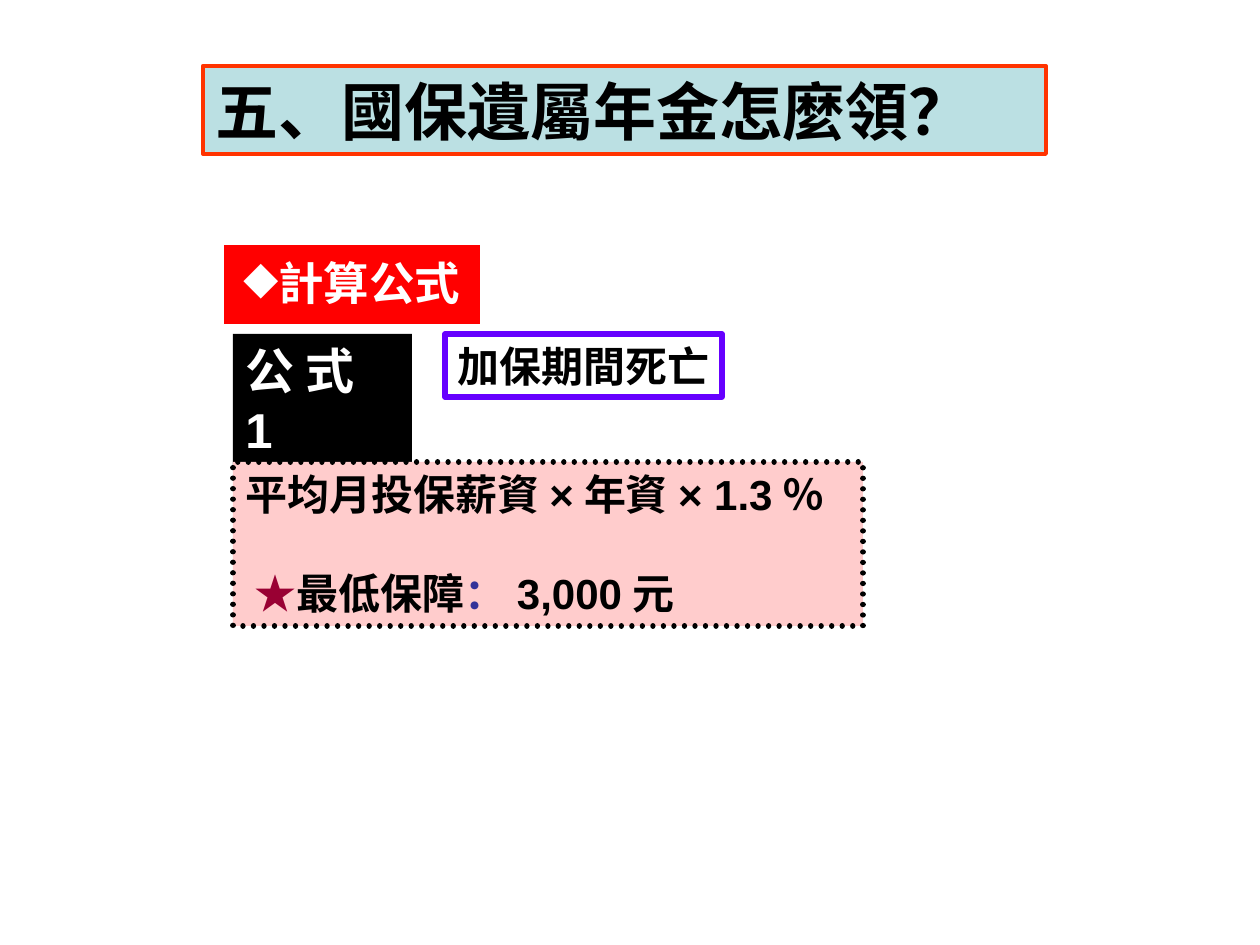
"""Build the slide on how the survivor pension is calculated."""
from lxml.etree import SubElement
from pptx import Presentation
from pptx.dml.color import RGBColor
from pptx.enum.dml import MSO_LINE
from pptx.enum.shapes import MSO_SHAPE
from pptx.enum.text import MSO_ANCHOR, MSO_AUTO_SIZE, PP_ALIGN
from pptx.oxml.ns import qn
from pptx.util import Pt

PX = 914400 / 126


def paint(fmt, color):
    fmt.solid()
    fmt.fore_color.rgb = RGBColor.from_string(color)


def add_box(box, fill, line, width, size, paragraphs):
    sp = s.shapes.add_shape(MSO_SHAPE.RECTANGLE, *(round(v * PX) for v in box))
    sp.shadow.inherit = False
    for fmt, color in ((sp.fill, fill), (sp.line.fill, line)):
        if color:
            paint(fmt, color)
        else:
            fmt.background()
    if line:
        sp.line.width = Pt(width)
    tf = sp.text_frame
    tf.word_wrap = True
    tf.vertical_anchor = MSO_ANCHOR.TOP
    tf.auto_size = MSO_AUTO_SIZE.SHAPE_TO_FIT_TEXT
    for i, runs in enumerate(paragraphs):
        p = tf.add_paragraph() if i else tf.paragraphs[0]
        p.alignment = PP_ALIGN.LEFT
        for text, color, bold in runs:
            r = p.add_run()
            r.text = text
            r.font.name = "Arial"
            r.font.size = Pt(size)
            r.font.bold = bold
            paint(r.font.fill, color)
    return sp


prs = Presentation()
prs.slide_width = round(1260 * PX)
prs.slide_height = round(945 * PX)
s = prs.slides.add_slide(prs.slide_layouts[6])

add_box((203, 66, 843, 88), "BBE0E3", "FF3300", 2.25, 36,
        [[("五、國保遺屬年金怎麼領？", "000000", True)]])

heading = add_box((223, 244, 258, 81), "FF0000", "FFFFFF", 0.75, 26,
                  [[("計算公式", "FFFFFF", True)]])
tf = heading.text_frame
tf.auto_size = MSO_AUTO_SIZE.NONE
tf.vertical_anchor = MSO_ANCHOR.MIDDLE
p = tf.paragraphs[0]
p.alignment = PP_ALIGN.CENTER
p.line_spacing = 0.95
pPr = p._p.get_or_add_pPr()
SubElement(SubElement(pPr, qn("a:buClr")), qn("a:srgbClr")).set("val", "FFFFFF")
SubElement(pPr, qn("a:buChar")).set("char", "◆")

condition = add_box((445, 334, 277, 63), None, "6600FF", 3, 24,
                    [[("加保期間死亡", "000000", True)]])
condition.text_frame.word_wrap = False

add_box((233, 334, 179, 131), "000000", None, 0, 28,
        [[("公 式 1", "FFFFFF", True)]])

formula = add_box((233, 462, 630, 164), "FFCCCC", "000000", 3, 24, [
    [("平均月投保薪資×年資× 1.3％", "000000", True)],
    [(" ", "9900CC", True), ("★", "990033", False), ("最低保障", "000000", True),
     ("：", "333399", True), ("3,000元", "000000", True)],
])
formula.line.dash_style = MSO_LINE.ROUND_DOT
formula.line._get_or_add_ln().set("cap", "rnd")
formula.text_frame.paragraphs[1].space_before = Pt(28)

prs.save("out.pptx")
